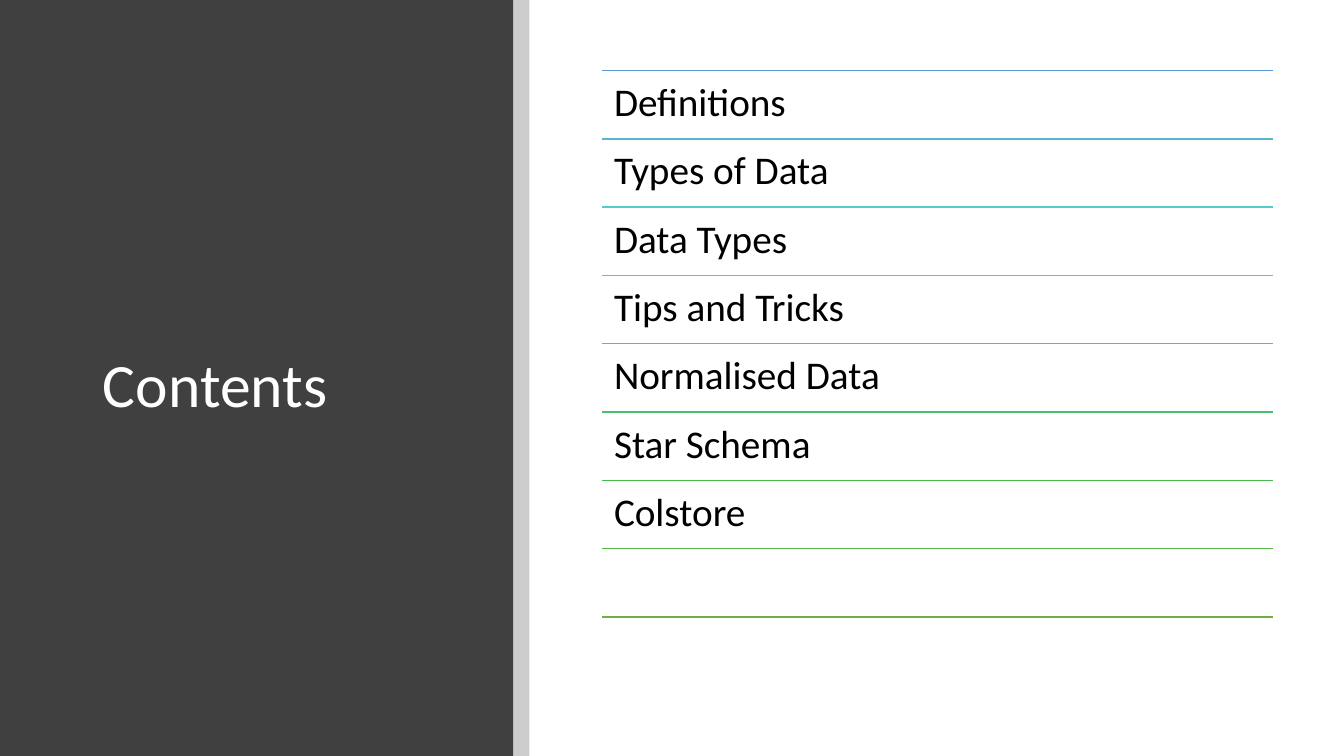
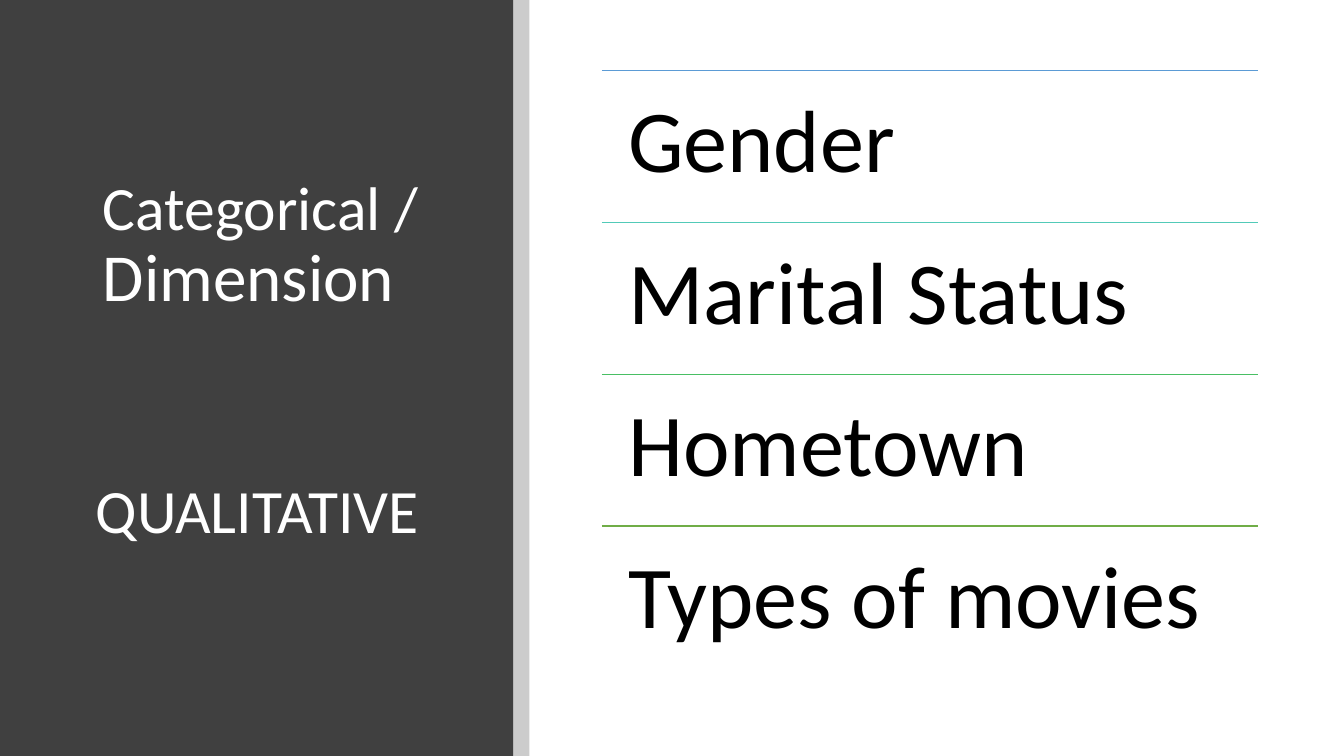
"""Build two list slides with a dark title panel."""
import dataclasses

import lxml.etree
import pptx
import pptx.dml.color
import pptx.enum.shapes
import pptx.enum.text
import pptx.oxml.ns
import pptx.util

Inches = pptx.util.Inches


@dataclasses.dataclass(frozen=True)
class Theme:
    """Colours and type sizes for the deck."""
    font: str = "Calibri"
    panel: str = "404040"
    light: str = "FFFFFF"
    dark: str = "000000"
    veil: int = 20
    title: int = 44
    large: int = 48
    item: int = 28
    big: int = 63
    rule: int = 1


THEME = Theme()


def color(code):
    """Turn a hex code into a colour."""
    return pptx.dml.color.RGBColor.from_string(code)


def style(para, size, code):
    """Set the look of one paragraph."""
    para.alignment = pptx.enum.text.PP_ALIGN.LEFT
    para.line_spacing = 0.9
    para.font.name = THEME.font
    para.font.size = pptx.util.Pt(size)
    para.font.color.rgb = color(code)


def add_text(slide, text, place, size, code, inset=0.1, middle=False):
    """Add a wrapped box holding one paragraph."""
    frame = slide.shapes.add_textbox(*map(Inches, place)).text_frame
    frame.word_wrap = True
    frame.margin_left = frame.margin_right = Inches(inset)
    if middle:
        frame.vertical_anchor = pptx.enum.text.MSO_ANCHOR.MIDDLE
    else:
        frame.margin_top = frame.margin_bottom = Inches(inset)
    para = frame.paragraphs[0]
    para.text = text
    style(para, size, code)


def add_band(slide, left, width, code, alpha=None):
    """Add a full-height band behind the title."""
    band = slide.shapes.add_shape(
        pptx.enum.shapes.MSO_SHAPE.RECTANGLE,
        Inches(left), 0, Inches(width), Inches(7.5))
    band.shadow.inherit = False
    band.line.fill.background()
    band.fill.solid()
    band.fill.fore_color.rgb = color(code)
    if alpha is not None:
        tint = band.element.spPr.find(".//" + pptx.oxml.ns.qn("a:srgbClr"))
        lxml.etree.SubElement(
            tint, pptx.oxml.ns.qn("a:alpha"), val=str(alpha * 1000))
    slide.shapes.title.element.addprevious(band.element)


def add_rule(slide, left, top, width, code):
    """Add a thin level line."""
    rule = slide.shapes.add_connector(
        pptx.enum.shapes.MSO_CONNECTOR.STRAIGHT,
        Inches(left), Inches(top), Inches(left + width), Inches(top))
    rule.line.color.rgb = color(code)
    rule.line.width = pptx.util.Pt(THEME.rule)
    lxml.etree.SubElement(
        rule.element.spPr, pptx.oxml.ns.qn("a:effectLst"))


def add_slide(deck, runs, height):
    """Add a slide with bands and a title made of sized runs."""
    slide = deck.slides.add_slide(deck.slide_layouts[5])
    add_band(slide, 0, 5.09, THEME.panel)
    add_band(slide, 5.09, 0.16, THEME.dark, THEME.veil)
    title = slide.shapes.title
    title.left, title.top = Inches(0.92), Inches(0.89)
    title.width, title.height = Inches(3.65), Inches(height)
    frame = title.text_frame
    frame.auto_size = pptx.enum.text.MSO_AUTO_SIZE.NONE
    frame.vertical_anchor = pptx.enum.text.MSO_ANCHOR.MIDDLE
    para = frame.paragraphs[0]
    style(para, THEME.title, THEME.light)
    for text, size in runs:
        run = para.add_run()
        run.text = text
        run.font.size = pptx.util.Pt(size)
    return slide


def add_list(slide, items, rules, width, pitch, size, inset):
    """Add evenly spaced items, each under a coloured rule."""
    left, top = 5.97, 0.7
    for row, code in enumerate(rules):
        add_rule(slide, left, top + row * pitch, width, code)
    for row, item in enumerate(items):
        place = left, top + row * pitch, width, pitch
        add_text(slide, item, place, size, THEME.dark, inset)


def main():
    """Build and save the deck."""
    deck = pptx.Presentation()
    deck.slide_width, deck.slide_height = Inches(13.33), Inches(7.5)

    slide = add_slide(deck, [("Contents", THEME.title)], 5.91)
    add_list(
        slide,
        ["Definitions", "Types of Data", "Data Types", "Tips and Tricks",
         "Normalised Data", "Star Schema", "Colstore"],
        ["5B9BD5", "57B4D1", "54CCCD", "51C9AD", "4DC58D",
         "4AC06E", "48BB4F", "59B546", "70AD47"],
        6.66, 5.42 / 8, THEME.item, 0.12)

    slide = add_slide(
        deck,
        [("Categorical / ", THEME.title), ("Dimension", THEME.large)], 3.11)
    add_list(
        slide,
        ["Gender", "Marital Status", "Hometown", "Types of movies"],
        ["5B9BD5", "52CAB8", "49BF64", "70AD47"],
        6.51, 4.52 / 3, THEME.big, 0.26)
    add_text(slide, "QUALITATIVE", (0.85, 4.53, 3.51, 1.13),
             THEME.title, THEME.light, middle=True)

    deck.save("out.pptx")


if __name__ == "__main__":
    main()
